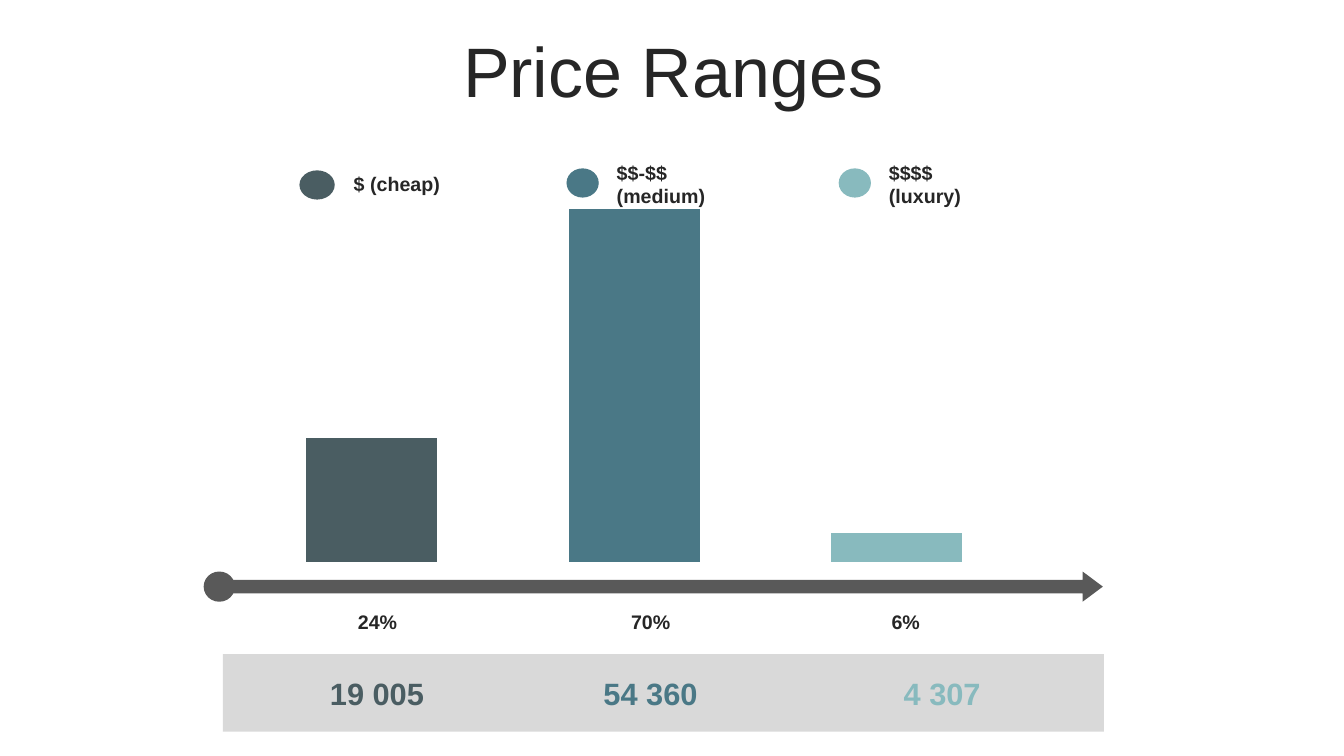
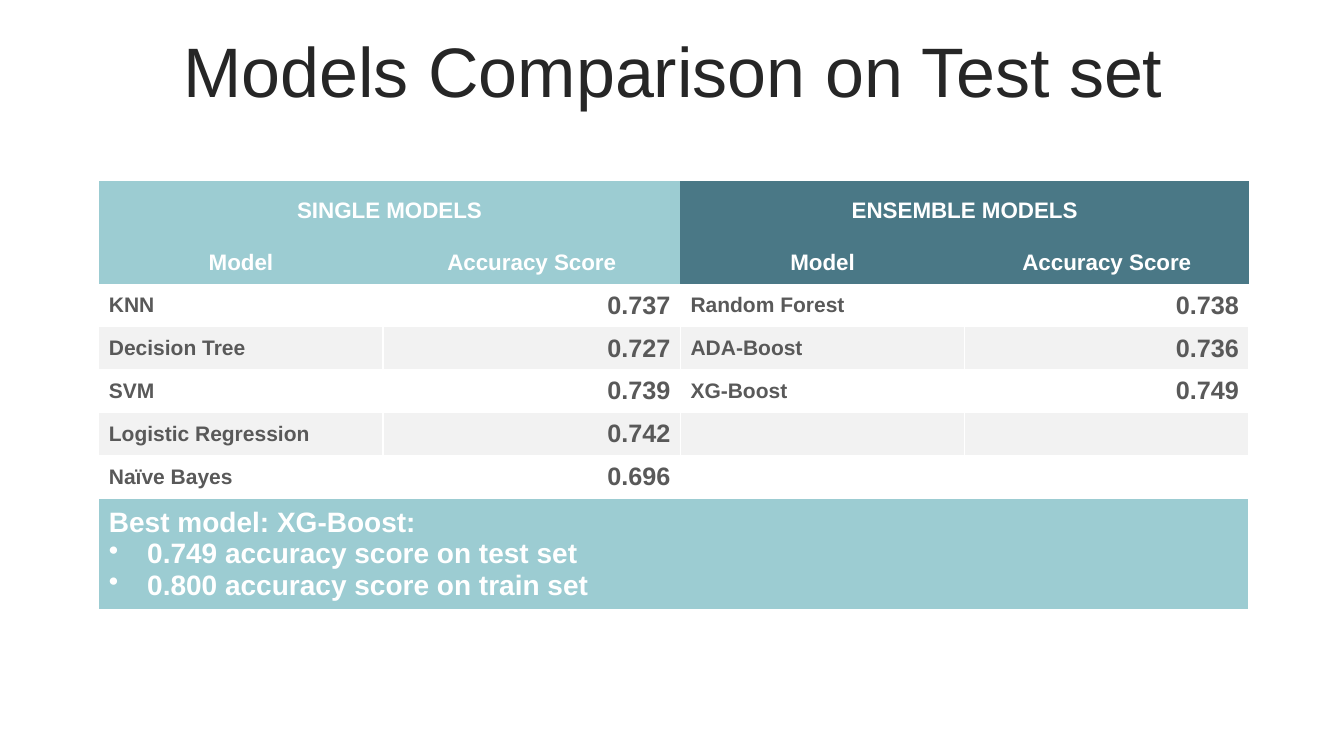
from lxml import etree
from pptx import Presentation, util as u
from pptx.chart.data import CategoryChartData
from pptx.dml.color import RGBColor
from pptx.enum import chart as ch, shapes, text
from pptx.oxml import parse_xml
from pptx.oxml.ns import nsdecls, qn

INK, GRAY, PALE, WHITE, BAND = "262626", "595959", "D9D9D9", "FFFFFF", "F2F2F2"
SLATE, TEAL, MINT, AQUA = "4A5D62", "4A7886", "88BABE", "9CCCD2"
LEFT, MID, RIGHT = text.PP_ALIGN.LEFT, text.PP_ALIGN.CENTER, text.PP_ALIGN.RIGHT


def rgb(code):
    return RGBColor.from_string(code)


class Deck:
    """Style and current slide; lengths are percent of the slide's size."""

    font = "Arial"

    def __init__(self):
        self.prs = Presentation()
        self.prs.slide_width, self.prs.slide_height = u.Inches(13.33), u.Inches(7.5)

    def wide(self, share):
        return u.Emu(round(self.prs.slide_width * share / 100))

    def high(self, share):
        return u.Emu(round(self.prs.slide_height * share / 100))

    def box(self, x, y, w, h):
        return self.wide(x), self.high(y), self.wide(w), self.high(h)

    def slide(self, title):
        self.page = self.prs.slides.add_slide(self.prs.slide_layouts[6])
        frame = self.text(title, (2.63, 4.93, 94.95, 10.53), 50, INK, bold=False)
        frame.paragraphs[0].line_spacing = 0.8

    def style(self, frame, size, color, align, bold=True):
        for para in frame.paragraphs:
            para.alignment = align
            for run in para.runs:
                font = run.font
                font.name, font.size, font.bold = self.font, u.Pt(size), bold
                font.color.rgb = rgb(color)

    def text(self, words, area, size, color, align=MID, bold=True):
        frame = self.page.shapes.add_textbox(*self.box(*area)).text_frame
        frame.word_wrap = True
        frame.vertical_anchor = text.MSO_ANCHOR.MIDDLE
        frame.text = words
        self.style(frame, size, color, align, bold)
        return frame

    def shape(self, kind, area, color):
        item = self.page.shapes.add_shape(kind, *self.box(*area))
        item.shadow.inherit = False
        item.fill.solid()
        item.fill.fore_color.rgb = rgb(color)
        item.line.fill.background()
        return item

    def bars(self, area, values, colors, plot):
        """Add bare columns; plot is the inner area as x, y, w, h fractions."""
        data = CategoryChartData()
        data.categories = ["1"]
        for num, value in enumerate(values, 1):
            data.add_series(f"Series {num}", [value])
        chart = self.page.shapes.add_chart(
            ch.XL_CHART_TYPE.COLUMN_CLUSTERED, *self.box(*area), data).chart
        chart.has_legend = chart.has_title = False
        chart.font.name, chart.font.size = self.font, u.Pt(10)
        chart.font.color.rgb = rgb("000000")
        axis = chart.value_axis
        axis.minimum_scale, axis.maximum_scale = 0, 110
        axis.has_major_gridlines = False
        axis.visible = chart.category_axis.visible = False
        group = chart.plots[0]
        group.gap_width, group.overlap, group.vary_by_categories = 122, -100, False
        for series, color in zip(group.series, colors):
            series.format.fill.solid()
            series.format.fill.fore_color.rgb = rgb(color)
        root = chart._chartSpace.find(".//" + qn("c:plotArea"))
        for old in root.findall(qn("c:layout")):
            root.remove(old)
        tags = [("layoutTarget", "inner"), ("xMode", "edge"), ("yMode", "edge"),
                *zip("xywh", plot)]
        inner = "".join(f'<c:{tag} val="{val}"/>' for tag, val in tags)
        root.insert(0, parse_xml(f'<c:layout {nsdecls("c")}><c:manualLayout>'
                                 f'{inner}</c:manualLayout></c:layout>'))

    def table(self, x, y, cols, rows):
        grid = self.page.shapes.add_table(
            len(rows), len(cols), *self.box(x, y, sum(cols), sum(rows))).table
        grid.first_row = grid.horz_banding = False
        for col, share in zip(grid.columns, cols):
            col.width = self.wide(share)
        for row, share in zip(grid.rows, rows):
            row.height = self.high(share)
        return grid

    def cell(self, cell, words, fill, size, color, align, sides=""):
        """Fill a cell; sides names the edges that get a white line."""
        props = cell._tc.get_or_add_tcPr()
        for side in "LRTB":
            line = etree.SubElement(props, qn(f"a:ln{side}"), w="12700")
            if side in sides:
                paint = etree.SubElement(line, qn("a:solidFill"))
                etree.SubElement(paint, qn("a:srgbClr"), val=WHITE)
            else:
                etree.SubElement(line, qn("a:noFill"))
        cell.fill.solid()
        cell.fill.fore_color.rgb = rgb(fill)
        cell.vertical_anchor = text.MSO_ANCHOR.MIDDLE
        if words:
            cell.text_frame.text = words
            self.style(cell.text_frame, size, color, align)

    def bullet(self, para):
        props = para._p.get_or_add_pPr()
        gap = u.Inches(0.38)
        props.set("marL", str(gap))
        props.set("indent", str(-gap))
        etree.SubElement(props, qn("a:buChar"), char="•")


def prices(deck):
    deck.slide("Price Ranges")
    kind = shapes.MSO_SHAPE
    deck.bars((16.58, 22.53, 63.83, 56.27), (35, 100, 8), (SLATE, TEAL, MINT),
              (0.004, 0.008, 0.951, 0.912))
    arrow = deck.shape(kind.RIGHT_ARROW, (16.73, 75.6, 65.33, 4), GRAY)
    arrow.adjustments[0], arrow.adjustments[1] = 0.45, 0.67
    deck.shape(kind.OVAL, (15.15, 75.6, 2.33, 4), GRAY)
    deck.shape(kind.RECTANGLE, (16.58, 86.53, 65.55, 10.27), PALE)
    # name, color, dot (x, y, w), label x, share and its x, count and its centre
    tiers = [
        ("$ (cheap)", SLATE, (22.28, 22.53, 2.63), 25.58, "24%", 20.18, "19 005", 28.05),
        ("$$-$$\n(medium)", TEAL, (42.15, 22.27, 2.4), 45.15, "70%", 40.5, "54 360", 48.4),
        ("$$$$\n(luxury)", MINT, (62.4, 22.27, 2.4), 65.4, "6%", 59.48, "4 307", 70.1),
    ]
    for name, color, dot, left, share, spot, count, mid in tiers:
        deck.shape(kind.OVAL, (*dot, 3.87), color)
        deck.text(name, (left, 19.73, 11.18, 9.2), 14, INK, LEFT)
        deck.text(share, (spot, 79.55, 15.83, 5.47), 14, INK)
        deck.text(count, (mid - 10, 87.87, 20, 7.6), 22, color)


def models(deck):
    deck.slide("Models Comparison on Test set")
    grid = deck.table(7.35, 24, (21.15, 22.13, 21.15, 21.15),
                      (7.87, *[5.68] * 6, 13.5))
    for col, name, fill in ((0, "SINGLE MODELS", AQUA), (2, "ENSEMBLE MODELS", TEAL)):
        grid.cell(0, col).merge(grid.cell(0, col + 1))
        heads = ((0, 0, name), (0, 1, ""), (1, 0, "Model"), (1, 1, "Accuracy Score"))
        for row, step, words in heads:
            deck.cell(grid.cell(row, col + step), words, fill, 16, WHITE, MID)
    scores = [
        ("KNN", "0.737", "Random Forest", "0.738"),
        ("Decision Tree", "0.727", "ADA-Boost", "0.736"),
        ("SVM", "0.739", "XG-Boost", "0.749"),
        ("Logistic Regression", "0.742", "", ""),
        ("Naïve Bayes", "0.696", "", ""),
    ]
    for row, line in enumerate(scores, 2):
        for col, words in enumerate(line):
            size, align = ((15, LEFT), (18, RIGHT))[col % 2]
            deck.cell(grid.cell(row, col), words, (WHITE, BAND)[row % 2], size, GRAY,
                      align, "LRB" if row == 2 else "LRTB")
    best = grid.cell(7, 0)
    best.merge(grid.cell(7, 3))
    deck.cell(best, "Best model: XG-Boost:\n0.749 accuracy score on test set\n"
              "0.800 accuracy score on train set", AQUA, 20, WHITE, LEFT, "LRTB")
    for para in best.text_frame.paragraphs[1:]:
        deck.bullet(para)


def main():
    deck = Deck()
    prices(deck)
    models(deck)
    deck.prs.save("out.pptx")


if __name__ == "__main__":
    main()
